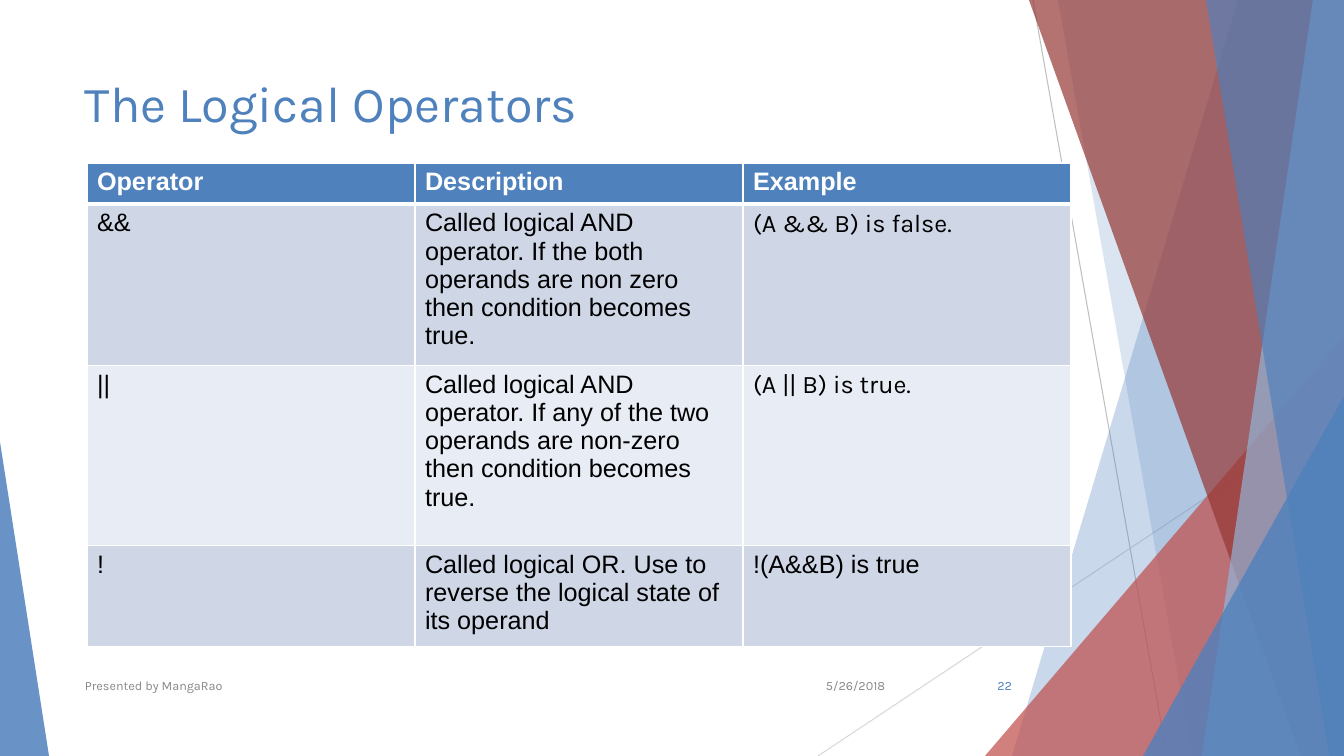
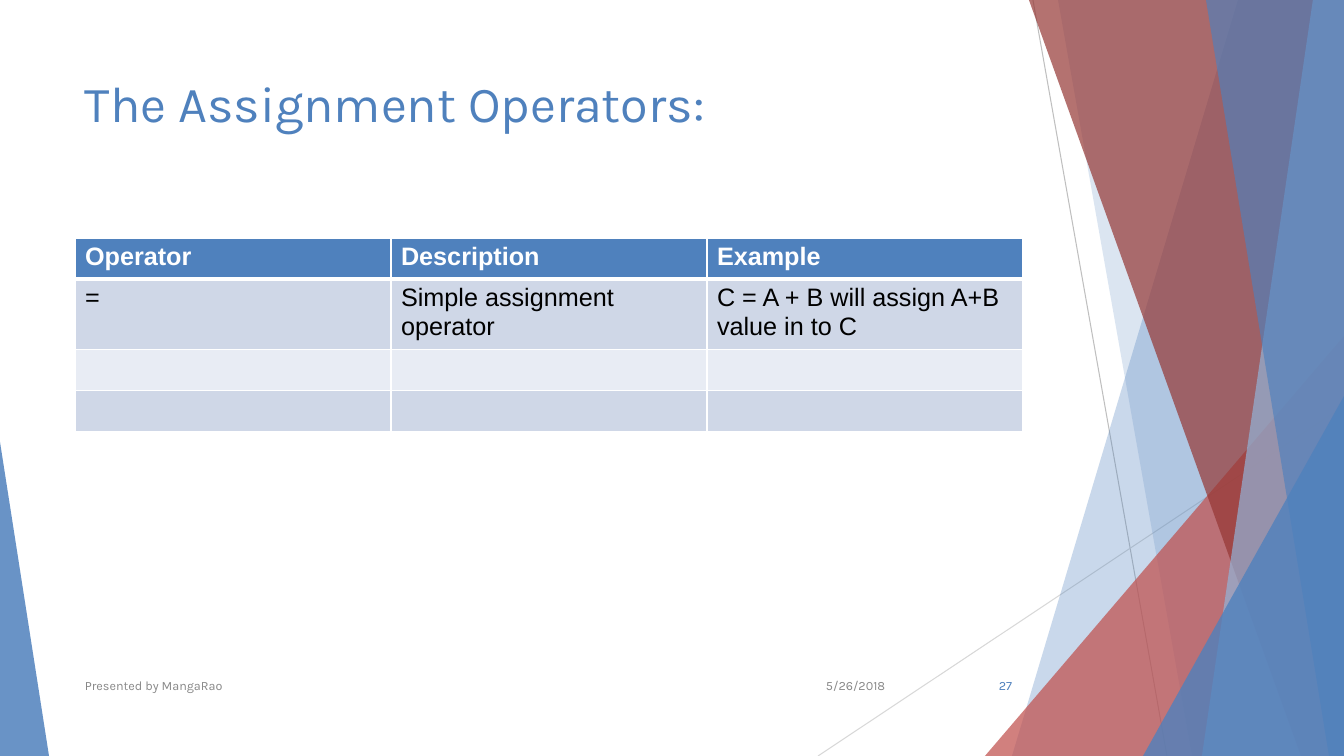
from dataclasses import dataclass

from lxml.etree import SubElement
from pptx import Presentation
from pptx.dml.color import RGBColor
from pptx.enum.shapes import MSO_CONNECTOR, MSO_SHAPE
from pptx.enum.text import MSO_ANCHOR, PP_ALIGN
from pptx.oxml.ns import qn
from pptx.util import Pt

WIDTH, HEIGHT = 1344, 756
SCALE = 914400 / 100.8


@dataclass(frozen=True)
class Theme:
    blue: str = "4F81BD"
    pale_blue: str = "93B3D7"
    red: str = "C0504D"
    dark_red: str = "953734"
    white: str = "FFFFFF"
    black: str = "000000"
    gray: str = "888888"
    line_dark: str = "BFBFBF"
    line_light: str = "D8D8D8"
    row_dark: str = "CFD7E7"
    row_light: str = "E8ECF4"
    display: str = "Karla"
    body: str = "Arial"
    title_size: int = 36
    table_size: int = 18
    footer_size: int = 9


THEME = Theme()
HEADINGS = ("Operator", "Description", "Example")


def px(*values):
    return [round(value * SCALE) for value in values]


def write(frame, text, size=THEME.footer_size, color=THEME.gray, font=THEME.display,
          bold=False, align=PP_ALIGN.LEFT):
    para = frame.paragraphs[0]
    para.alignment = align
    span = para.add_run()
    span.text = text
    span.font.size = Pt(size)
    span.font.name = font
    span.font.bold = bold
    span.font.color.rgb = RGBColor.from_string(color)


def add_text(page, area, text, anchor=MSO_ANCHOR.MIDDLE, **text_format):
    frame = page.shapes.add_textbox(*px(*area)).text_frame
    frame.word_wrap = True
    frame.vertical_anchor = anchor
    write(frame, text, **text_format)


def add_line(page, start, end, color):
    line = page.shapes.add_connector(MSO_CONNECTOR.STRAIGHT, *px(*start, *end))
    line.line.color.rgb = RGBColor.from_string(color)
    line.line.width = Pt(0.75)
    SubElement(line.element.spPr, qn("a:effectLst"))


def tint(shape, color, opacity):
    shape.shadow.inherit = False
    shape.fill.solid()
    shape.fill.fore_color.rgb = RGBColor.from_string(color)
    shape.line.fill.background()
    for node in shape.element.spPr.iter(qn("a:srgbClr")):
        SubElement(node, qn("a:alpha"), val=str(opacity * 1000))


def add_band(page, top_x, bottom_x, color, opacity):
    outline = page.shapes.build_freeform(top_x, 0, scale=SCALE)
    outline.add_line_segments([(WIDTH, 0), (WIDTH, HEIGHT), (bottom_x, HEIGHT)])
    tint(outline.convert_to_shape(), color, opacity)


def add_triangle(page, left, top, width, apex, color, opacity):
    area = px(left, top, width, HEIGHT - top)
    triangle = page.shapes.add_shape(MSO_SHAPE.ISOSCELES_TRIANGLE, *area)
    triangle.adjustments[0] = apex
    tint(triangle, color, opacity)


def add_backdrop(page):
    add_line(page, (1033, 0), (1167, HEIGHT), THEME.line_dark)
    add_line(page, (WIDTH, 406), (818, HEIGHT), THEME.line_light)
    add_band(page, 1238, 1012, THEME.blue, 30)
    add_band(page, 1058, 1192, THEME.blue, 20)
    add_triangle(page, 985, 336, 359, 1, THEME.red, 72)
    add_band(page, 1029, 1301, THEME.dark_red, 70)
    add_band(page, 1313, 1202, THEME.pale_blue, 70)
    add_band(page, 1206, 1329, THEME.blue, 65)
    add_triangle(page, 1143, 396, 201, 1, THEME.blue, 80)
    add_triangle(page, 0, 442, 49, 0, THEME.blue, 85)


def add_footer(page, number):
    top, height = 666, 40
    add_text(page, (794, top, 101, height), "5/26/2018", align=PP_ALIGN.RIGHT)
    add_text(page, (75, top, 695, height), "Presented by MangaRao")
    add_text(page, (947, top, 75, height), number, color=THEME.blue, align=PP_ALIGN.RIGHT)


def add_borders(cell, top, bottom):
    properties = cell._tc.get_or_add_tcPr()
    for side, points in (("L", 1), ("R", 1), ("T", top), ("B", bottom)):
        border = SubElement(properties, qn(f"a:ln{side}"), w=str(Pt(points)))
        fill = SubElement(border, qn("a:solidFill"))
        SubElement(fill, qn("a:srgbClr"), val=THEME.white)


def fill_cell(cell, text, row, font):
    header = row == 0
    add_borders(cell, 3 if row == 1 else 1, 3 if header else 1)
    color = THEME.blue if header else (THEME.row_light, THEME.row_dark)[row % 2]
    cell.fill.solid()
    cell.fill.fore_color.rgb = RGBColor.from_string(color)
    if text:
        write(cell.text_frame, text, size=THEME.table_size, font=font, bold=header,
              color=THEME.white if header else THEME.black)


def add_operator_table(page, left, top, column_width, heights, rows, display_cells=()):
    rows = [HEADINGS, *rows]
    area = px(left, top, column_width * len(HEADINGS), sum(heights))
    table = page.shapes.add_table(len(rows), len(HEADINGS), *area).table
    for column in table.columns:
        column.width = px(column_width)[0]
    for row, (height, texts) in enumerate(zip(heights, rows)):
        table.rows[row].height = px(height)[0]
        for column, text in enumerate(texts):
            font = THEME.display if (row, column) in display_cells else THEME.body
            fill_cell(table.cell(row, column), text, row, font)


def add_page(deck, title, number):
    page = deck.slides.add_slide(deck.slide_layouts[6])
    add_backdrop(page)
    add_text(page, (75, 67, 947, 145), title, anchor=MSO_ANCHOR.TOP,
             size=THEME.title_size, color=THEME.blue)
    add_footer(page, number)
    return page


def main():
    deck = Presentation()
    deck.slide_width, deck.slide_height = px(WIDTH, HEIGHT)

    logical = add_page(deck, "The Logical Operators", "22")
    add_operator_table(logical, 87, 163, 328, (41, 150, 180, 94), [
        ("&&", "Called logical AND operator. If the both operands are non zero "
               "then condition becomes true.", "(A && B) is false."),
        ("||", "Called logical AND operator. If any of the two operands are non-zero "
               "then condition becomes true.", "(A || B) is true."),
        ("!", "Called logical OR. Use to reverse the logical state of its operand",
         "!(A&&B) is true"),
    ], display_cells={(1, 2), (2, 2)})

    assignment = add_page(deck, "The Assignment Operators:", "27")
    add_operator_table(assignment, 75, 238, 316, (41, 66, 41, 41), [
        ("=", "Simple assignment operator", "C = A + B will assign A+B value in to C"),
        ("", "", ""),
        ("", "", ""),
    ])

    deck.save("out.pptx")


if __name__ == "__main__":
    main()
